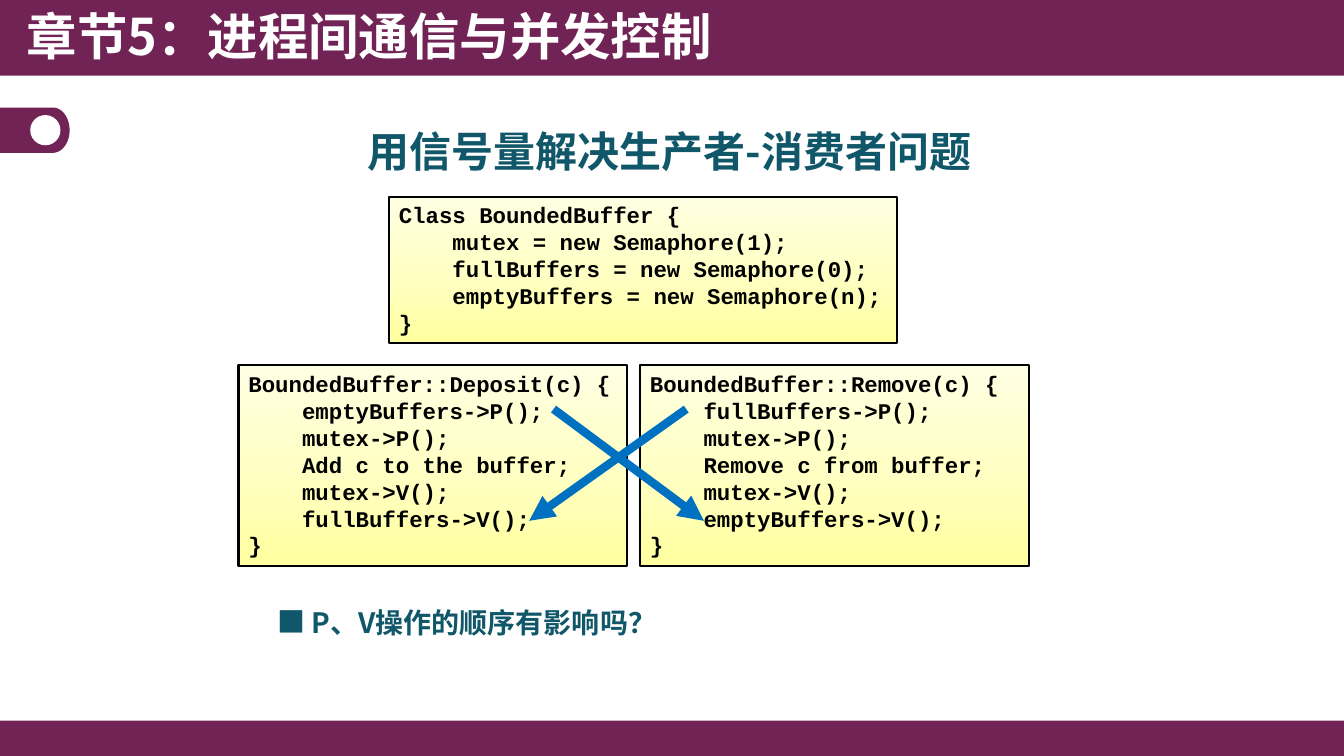
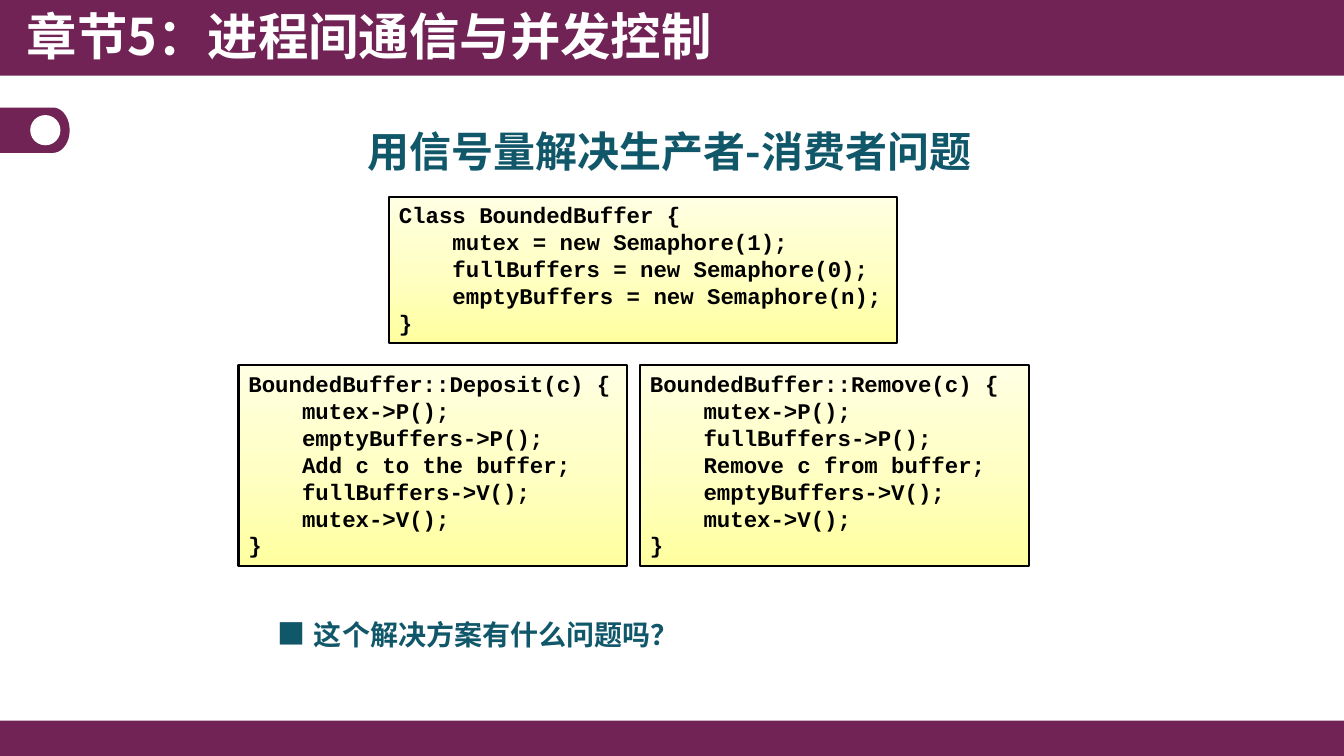
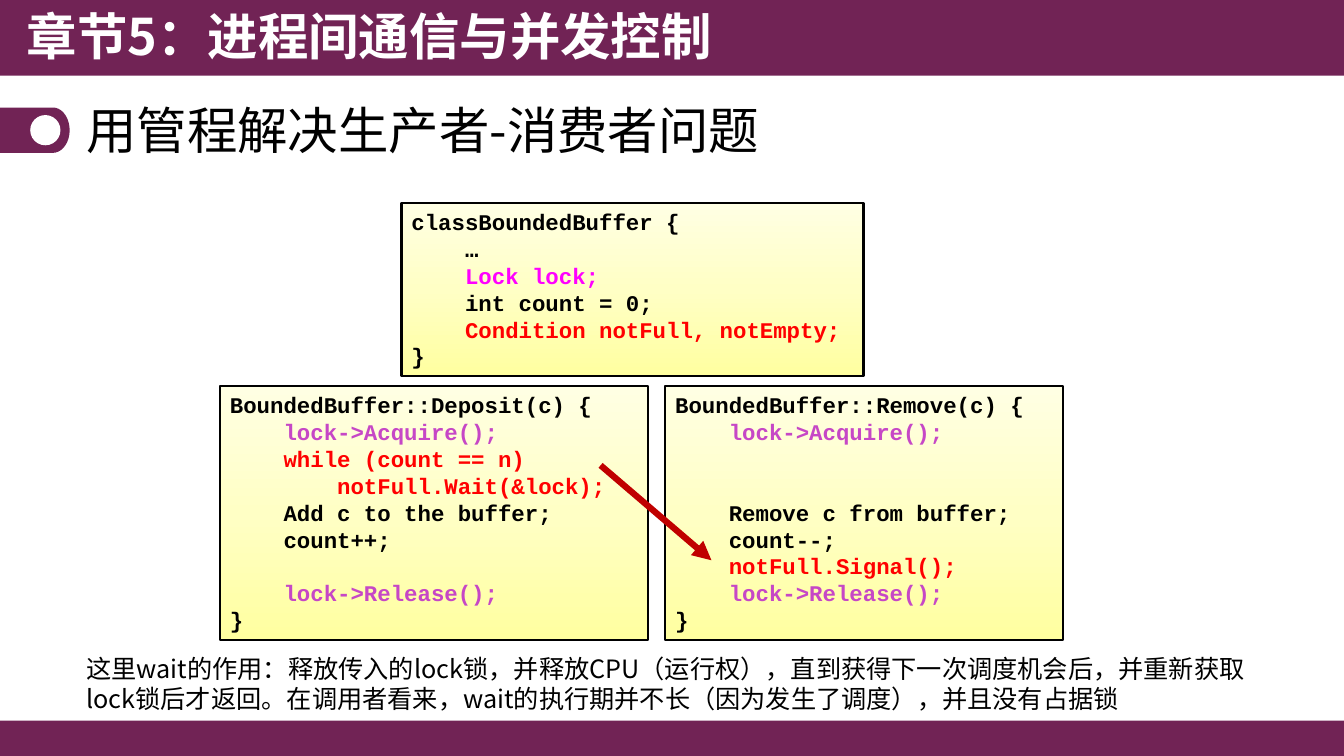
import math
from dataclasses import dataclass

import pptx
import pptx.dml.color
import pptx.enum.dml
import pptx.enum.lang
import pptx.enum.shapes
import pptx.enum.text
import pptx.oxml
import pptx.oxml.ns
import pptx.util
from lxml import etree

SHAPES = pptx.enum.shapes.MSO_SHAPE
ALIGN = pptx.enum.text.PP_ALIGN
ANCHOR = pptx.enum.text.MSO_ANCHOR
FIT = pptx.enum.text.MSO_AUTO_SIZE
COLUMNS, ROWS = 160, 90
WIDTH, HEIGHT = pptx.util.Inches(13.33), pptx.util.Inches(7.5)


@dataclass(frozen=True)
class Theme:
    """Colours, fonts and type sizes shared by all slides."""
    band: str = "712355"
    paper: str = "FFFFFF"
    ink: str = "000000"
    accent: str = "11576A"
    lock: str = "C647C6"
    declaration: str = "FF00FF"
    condition: str = "FF0000"
    swap_arrow: str = "0070C0"
    signal_arrow: str = "C00000"
    panel: tuple = ((0, "FFFFA0"), (50, "FFFFC5"), (100, "FFFFE3"))
    body_font: str = "Noto Sans CJK SC"
    bullet_font: str = "Noto Sans CJK JP"
    code_font: str = "Courier New"
    title_size: int = 36
    heading_size: int = 30
    question_size: int = 20
    note_size: int = 18
    code_size: int = 16


@dataclass(frozen=True)
class Box:
    """A region measured in grid columns and rows."""
    left: float
    top: float
    width: float
    height: float

    def inner(self, left, top, width, height):
        """Return a box offset from this box's corner."""
        return Box(self.left + left, self.top + top, width, height)

    def point(self, column, row):
        """Return slide lengths for a point offset from the corner."""
        return (round((self.left + column) * WIDTH / COLUMNS),
                round((self.top + row) * HEIGHT / ROWS))

    def lengths(self):
        """Return left, top, width and height as slide lengths."""
        return (*self.point(0, 0), round(self.width * WIDTH / COLUMNS),
                round(self.height * HEIGHT / ROWS))


THEME = Theme()
PAGE = Box(0, 0, COLUMNS, ROWS)


def rgb(value):
    """Turn a hex string into a colour."""
    return pptx.dml.color.RGBColor.from_string(value)


def apply(target, values):
    """Set attributes from a dict of format values."""
    for name, value in values.items():
        setattr(target, name, value)


def write(shape, lines, size, color=THEME.ink, font=THEME.body_font, bold=False,
          frame=None, paragraph_format=None):
    """Write (text, colour) lines into a shape, one paragraph each."""
    text_frame = shape.text_frame
    apply(text_frame, {"word_wrap": True, "vertical_anchor": ANCHOR.TOP, **(frame or {})})
    for index, (text, line_color) in enumerate(lines):
        paragraph = text_frame.add_paragraph() if index else text_frame.paragraphs[0]
        apply(paragraph, {"alignment": ALIGN.LEFT, **(paragraph_format or {})})
        run = paragraph.add_run()
        run.text = text
        apply(run.font, {"size": pptx.util.Pt(size), "bold": bold, "name": font,
                         "language_id": pptx.enum.lang.MSO_LANGUAGE_ID.SIMPLIFIED_CHINESE})
        run.font.color.rgb = rgb(line_color or color)
        east_asian = etree.SubElement(run.font._element, pptx.oxml.ns.qn("a:ea"))
        east_asian.set("typeface", font)


def text_box(slide, box, text, size, **options):
    """Add a one-paragraph text box."""
    shape = slide.shapes.add_textbox(*box.lengths())
    write(shape, [(text, None)], size, **options)


def paint(shape, color):
    """Give a shape a flat fill with no line or shadow."""
    shape.shadow.inherit = False
    shape.fill.solid()
    shape.fill.fore_color.rgb = rgb(color)
    shape.line.fill.background()


def plain_shape(slide, preset, box, color):
    """Add a flat preset shape."""
    paint(slide.shapes.add_shape(preset, *box.lengths()), color)


def side_tab(slide, box):
    """Draw the round-ended tab with its white dot."""
    radius_x, radius_y = 2, box.height / 2
    angles = [math.radians(degree) for degree in range(-90, 91, 10)]
    curve = [box.point(box.width - radius_x + radius_x * math.cos(angle),
                       radius_y + radius_y * math.sin(angle)) for angle in angles]
    builder = slide.shapes.build_freeform(*box.point(0, 0))
    builder.add_line_segments([*curve, box.point(0, box.height)], close=True)
    paint(builder.convert_to_shape(), THEME.band)
    plain_shape(slide, SHAPES.OVAL, box.inner(3.6, 0.9, 3.6, 3.6), THEME.paper)


def chapter_slide(presentation):
    """Add a slide with the shared bands, tab and chapter title."""
    slide = presentation.slides.add_slide(presentation.slide_layouts[6])
    for band in (PAGE.inner(0, 85.8, COLUMNS, 4.2), PAGE.inner(0, 0, COLUMNS, 9)):
        plain_shape(slide, SHAPES.RECTANGLE, band, THEME.band)
    side_tab(slide, PAGE.inner(0, 12.8, 8.3, 5.4))
    text_box(slide, PAGE.inner(2, 0, 89.3, 9.2), "章节5：进程间通信与并发控制",
             THEME.title_size, color=THEME.paper, bold=True)
    return slide


def code_panel(slide, box, lines):
    """Add a yellow panel of code lines, each a text or a (text, colour)."""
    shape = slide.shapes.add_shape(SHAPES.RECTANGLE, *box.lengths())
    shape.shadow.inherit = False
    shape.line.color.rgb = rgb(THEME.ink)
    shape.line.width = pptx.util.Pt(1.5)
    shape.fill.gradient()
    shape.fill.gradient_angle = 90
    stops = shape._element.spPr.find(".//" + pptx.oxml.ns.qn("a:gsLst"))
    for stop in list(stops):
        stops.remove(stop)
    for position, color in THEME.panel:
        stop = etree.SubElement(stops, pptx.oxml.ns.qn("a:gs"), pos=str(position * 1000))
        etree.SubElement(stop, pptx.oxml.ns.qn("a:srgbClr"), val=color)
    pairs = [(line, None) if isinstance(line, str) else line for line in lines]
    write(shape, pairs, THEME.code_size, font=THEME.code_font, bold=True,
          frame={"auto_size": FIT.SHAPE_TO_FIT_TEXT})


def arrow(slide, box, start, end, color, weight):
    """Draw an arrow between two points of a box."""
    connector = slide.shapes.add_connector(
        pptx.enum.shapes.MSO_CONNECTOR.STRAIGHT, *box.point(*start), *box.point(*end))
    connector.line.color.rgb = rgb(color)
    connector.line.width = pptx.util.Pt(weight)
    etree.SubElement(connector.line._get_or_add_ln(), pptx.oxml.ns.qn("a:tailEnd"),
                     type="triangle")
    etree.SubElement(connector._element.spPr, pptx.oxml.ns.qn("a:effectLst"))


def question(slide, box, text, indent):
    """Place a square bullet and the question beside it."""
    style = {"color": THEME.accent, "bold": True}
    text_box(slide, box.inner(indent, 0.6, box.width - indent, 4.9), text,
             THEME.question_size, paragraph_format={"line_spacing": 0.9}, **style)
    text_box(slide, box.inner(0, 0, 5.6, 5.3), "■", THEME.question_size,
             font=THEME.bullet_font, **style)


def method(name, body):
    """Wrap body lines as a method of the buffer class."""
    return [f"BoundedBuffer::{name}(c) {{", *body, "}"]


def semaphore_slide(presentation, deposit, remove, question_box, question_text, indent,
                    crossed=False):
    """Add a semaphore solution with two methods and a question."""
    slide = chapter_slide(presentation)
    text_box(slide, PAGE.inner(25.7, 14.3, 108, 6.7), "用信号量解决生产者-消费者问题",
             THEME.heading_size, color=THEME.accent, bold=True,
             paragraph_format={"alignment": ALIGN.CENTER})
    code_panel(slide, PAGE.inner(46.3, 23.4, 60.5, 17.4), [
        "Class BoundedBuffer {",
        "    mutex = new Semaphore(1);",
        "    fullBuffers = new Semaphore(0);",
        "    emptyBuffers = new Semaphore(n);",
        "}"])
    methods = PAGE.inner(28.4, 43.5, 94.1, 23.9)
    for left, name, body in ((0, "Deposit", deposit), (47.8, "Remove", remove)):
        lines = [f"    {statement}" for statement in body]
        code_panel(slide, methods.inner(left, 0, 46.3, methods.height), method(name, lines))
    question(slide, question_box, question_text, indent)
    if crossed:
        for start, end in ((37.5, 55.4), (53.3, 34.6)):
            arrow(slide, methods, (start, 5.2), (end, 18.5), THEME.swap_arrow, 6)


def monitor_slide(presentation):
    """Add the monitor solution with its explanation."""
    slide = chapter_slide(presentation)
    acquire = ("    lock->Acquire();", THEME.lock)
    release = ("    lock->Release();", THEME.lock)
    blank = "    "
    methods = PAGE.inner(26.2, 46, 100.3, 30.2)
    code_panel(slide, methods.inner(0, 0, 51, methods.height), method("Deposit", [
        acquire,
        ("    while (count == n)", THEME.condition),
        ("        notFull.Wait(&lock);", THEME.condition),
        "    Add c to the buffer;",
        "    count++;",
        blank,
        release]))
    code_panel(slide, methods.inner(53, 0, 47.3, methods.height), method("Remove", [
        acquire,
        blank,
        blank,
        "    Remove c from buffer;",
        "    count--;",
        ("    notFull.Signal();", THEME.condition),
        release]))
    code_panel(slide, PAGE.inner(47.8, 24.2, 55, 20.6), [
        "classBoundedBuffer {",
        "    …",
        ("    Lock lock;", THEME.declaration),
        "    int count = 0;",
        ("    Condition notFull, notEmpty;", THEME.condition),
        "}"])
    arrow(slide, methods, (45.3, 9.4), (58.5, 20.7), THEME.signal_arrow, 4.5)
    text_box(slide, PAGE.inner(9.1, 77.2, 141.7, 8.5),
             "这里wait的作用：释放传入的lock锁，并释放CPU（运行权），"
             "直到获得下一次调度机会后，并重新获取lock锁后才返回。"
             "在调用者看来，wait的执行期并不长（因为发生了调度），并且没有占据锁",
             THEME.note_size)
    text_box(slide, PAGE.inner(9.1, 11.4, 141.7, 8.9), "用管程解决生产者-消费者问题",
             THEME.title_size, frame={"vertical_anchor": ANCHOR.MIDDLE},
             paragraph_format={"line_spacing": 0.9})


def main():
    """Build and save the presentation."""
    presentation = pptx.Presentation()
    apply(presentation, {"slide_width": WIDTH, "slide_height": HEIGHT})
    add, take = "Add c to the buffer;", "Remove c from buffer;"
    enter, leave = "mutex->P();", "mutex->V();"
    wait_empty, signal_empty = "emptyBuffers->P();", "emptyBuffers->V();"
    wait_full, signal_full = "fullBuffers->P();", "fullBuffers->V();"
    semaphore_slide(presentation,
                    [wait_empty, enter, add, leave, signal_full],
                    [wait_full, enter, take, leave, signal_empty],
                    PAGE.inner(31.8, 71.4, 48.9, 5.5), "P、V操作的顺序有影响吗？", 4.1,
                    crossed=True)
    semaphore_slide(presentation,
                    [enter, wait_empty, add, signal_full, leave],
                    [enter, wait_full, take, signal_empty, leave],
                    PAGE.inner(31.8, 72.8, 52.9, 5.5), "这个解决方案有什么问题吗？", 4.4)
    monitor_slide(presentation)
    presentation.save("out.pptx")


if __name__ == "__main__":
    main()
